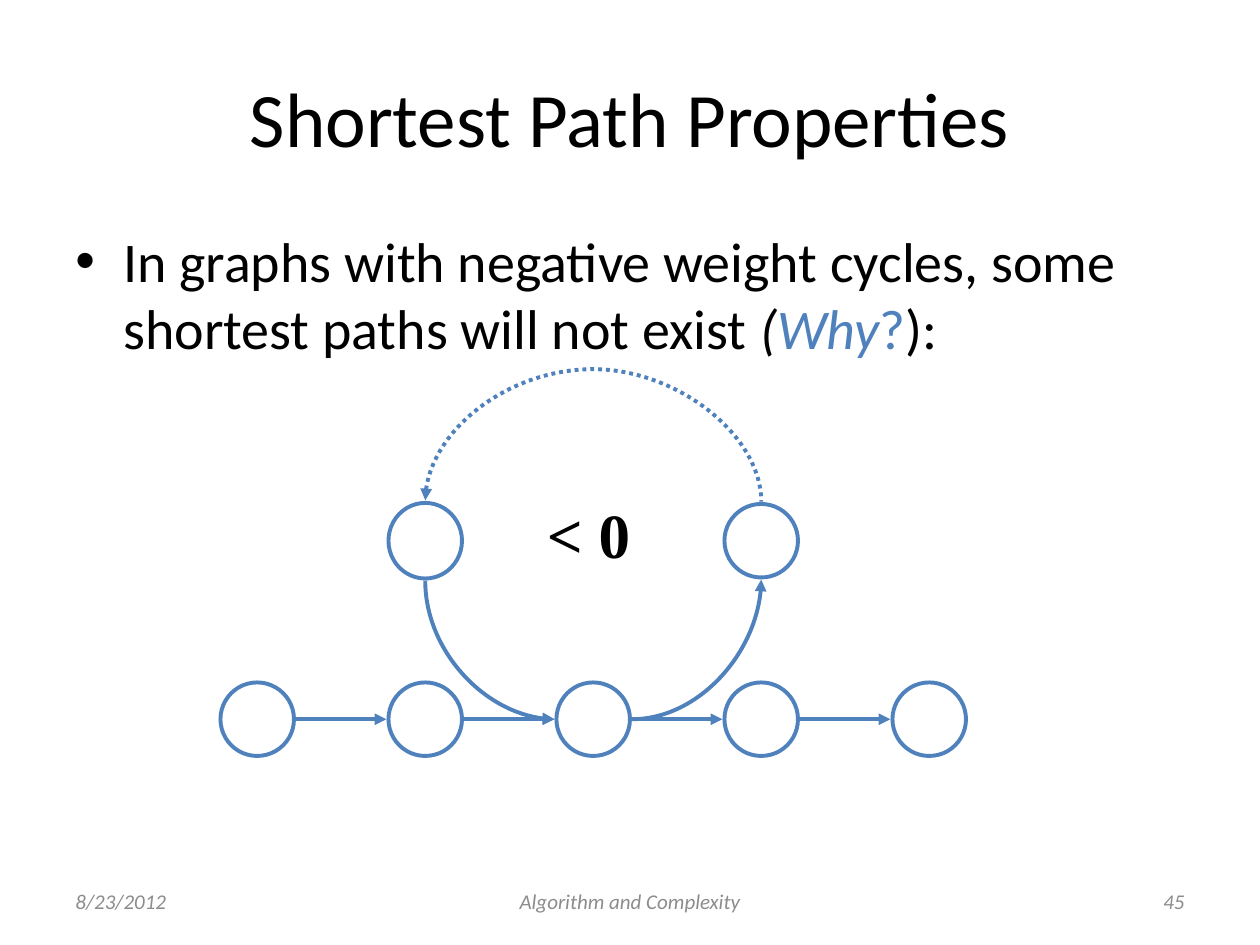
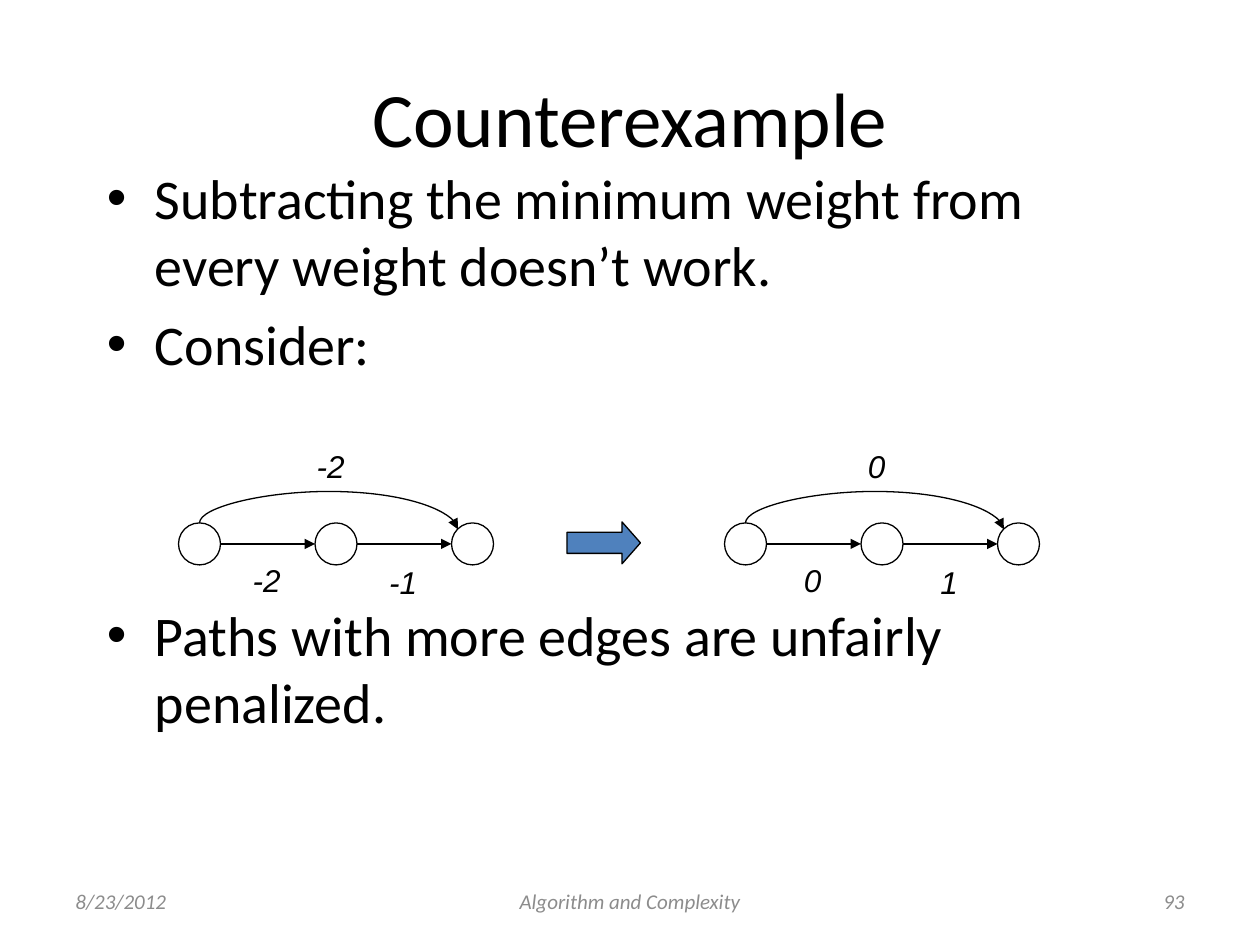
from dataclasses import dataclass
from lxml import etree
from pptx import Presentation
from pptx.dml.color import RGBColor
from pptx.enum.dml import MSO_LINE
from pptx.enum.shapes import MSO_CONNECTOR, MSO_SHAPE
from pptx.enum.text import MSO_ANCHOR, PP_ALIGN
from pptx.oxml.ns import qn
from pptx.util import Inches, Pt

OVAL, RIGHT_ARROW = MSO_SHAPE.OVAL, MSO_SHAPE.RIGHT_ARROW
STRAIGHT, CURVE = MSO_CONNECTOR.STRAIGHT, MSO_CONNECTOR.CURVE
LEFT, CENTER, RIGHT = PP_ALIGN.LEFT, PP_ALIGN.CENTER, PP_ALIGN.RIGHT
TOP, MIDDLE = MSO_ANCHOR.TOP, MSO_ANCHOR.MIDDLE
DOTTED = MSO_LINE.ROUND_DOT
COLUMNS, ROWS = 120, 90
TITLE_ONLY = 5


@dataclass(frozen=True)
class Theme:
    black: RGBColor = RGBColor(0, 0, 0)
    white: RGBColor = RGBColor(255, 255, 255)
    blue: RGBColor = RGBColor(0x4F, 0x81, 0xBD)
    grey: RGBColor = RGBColor(0x8C, 0x8C, 0x8C)
    font: str = "Calibri"
    label_font: str = "Arial"
    math_font: str = "Times New Roman"
    title: int = 44
    math: int = 36
    body: int = 32
    label: int = 18
    footer: int = 12
    thick: float = 2.25
    thin: float = 0.75


class Deck:
    def __init__(self, theme):
        self.theme = theme
        self.prs = Presentation()
        self.prs.slide_width, self.prs.slide_height = Inches(10), Inches(7.5)
        self.s = None

    def x(self, columns):
        return round(self.prs.slide_width * columns / COLUMNS)

    def y(self, rows):
        return round(self.prs.slide_height * rows / ROWS)

    def box(self, left, top, width, height):
        return self.x(left), self.y(top), self.x(width), self.y(height)

    def run(self, p, text, size, color=None, font=None, **style):
        r = p.add_run()
        r.text = text
        r.font.color.rgb = color or self.theme.black
        formats = {"size": Pt(size), "name": font or self.theme.font, **style}
        for key, value in formats.items():
            setattr(r.font, key, value)

    def slide(self, title, number):
        t = self.theme
        self.s = self.prs.slides.add_slide(self.prs.slide_layouts[TITLE_ONLY])
        sp = self.s.shapes.title
        sp.left, sp.top, sp.width, sp.height = self.box(6, 3.6, 108, 15)
        tf = sp.text_frame
        tf.vertical_anchor = MIDDLE
        p = tf.paragraphs[0]
        p.alignment = CENTER
        self.run(p, title, t.title)
        footers = ((6, 28, "8/23/2012", LEFT),
                   (41, 38, "Algorithm and Complexity", CENTER),
                   (86, 28, number, RIGHT))
        for left, width, text, align in footers:
            self.text((left, 83.4, width, 4.8), text, t.footer, align,
                      MIDDLE, color=t.grey, italic=True)

    def frame(self, area, anchor=TOP, wrap=True):
        tf = self.s.shapes.add_textbox(*self.box(*area)).text_frame
        tf.word_wrap, tf.vertical_anchor = wrap, anchor
        return tf

    def text(self, area, text, size, align=CENTER, anchor=TOP, **style):
        p = self.frame(area, anchor).paragraphs[0]
        p.alignment = align
        self.run(p, text, size, **style)

    def bullets(self, area, items):
        tf = self.frame(area)
        for i, (space, runs) in enumerate(items):
            p = tf.add_paragraph() if i else tf.paragraphs[0]
            ppr = p._p.get_or_add_pPr()
            ppr.set("marL", str(Inches(0.38)))
            ppr.set("indent", str(-Inches(0.38)))
            etree.SubElement(ppr, qn("a:buFont")).set("typeface", "Arial")
            etree.SubElement(ppr, qn("a:buChar")).set("char", "•")
            p.space_before = Pt(space)
            for text, style in runs:
                self.run(p, text, self.theme.body, **style)

    def shape(self, kind, area, line, width, fill=None):
        sp = self.s.shapes.add_shape(kind, *self.box(*area))
        sp.shadow.inherit = False
        if fill is None:
            sp.fill.background()
        else:
            sp.fill.solid()
            sp.fill.fore_color.rgb = fill
        sp.line.color.rgb, sp.line.width = line, Pt(width)
        return sp

    def arrow(self, start, end, color, width, kind=STRAIGHT, head="tailEnd", dash=None):
        c = self.s.shapes.add_connector(kind, self.x(start[0]), self.y(start[1]),
                                        self.x(end[0]), self.y(end[1]))
        c.line.color.rgb, c.line.width = color, Pt(width)
        if dash is not None:
            c.line.dash_style = dash
        etree.SubElement(c.line._get_or_add_ln(), qn("a:" + head)).set("type", "triangle")
        etree.SubElement(c._element.spPr, qn("a:effectLst"))
        return c

    def bend(self, start, end, color, width, **style):
        c = self.arrow(start, end, color, width, CURVE, **style)
        c._element.spPr.find(qn("a:prstGeom")).set("prst", "curvedConnector2")
        return c

    def turned(self, start, end, draw, color, width, **style):
        (x1, y1), (x2, y2) = start, end
        cx, cy = (x1 + x2) / 2, (y1 + y2) / 2
        dx, dy = (x2 - x1) / 2, (y2 - y1) / 2
        c = draw((cx - dy, cy + dx), (cx + dy, cy - dx), color, width, **style)
        c._element.spPr.find(qn("a:xfrm")).set("rot", "5400000")
        return c

    def arch(self, start, end, peak, color, width, **style):
        c = self.turned(start, end, self.arrow, color, width, kind=CURVE, **style)
        geometry = c._element.spPr.find(qn("a:prstGeom"))
        guides = geometry.find(qn("a:avLst"))
        ratio = (peak - start[1]) / (end[1] - start[1])
        guide = etree.SubElement(guides, qn("a:gd"))
        guide.set("name", "adj1")
        guide.set("fmla", f"val {round(ratio * 100000)}")


def shortest_path(d):
    t = d.theme
    d.slide("Shortest Path Properties", "45")
    d.bullets((6, 21, 108, 59.4), [(0, [
        ("In graphs with negative weight cycles, some shortest paths will not exist ", {}),
        ("(", {"italic": True}),
        ("Why", {"italic": True, "color": t.blue}),
        ("?", {"color": t.blue}),
        ("):", {})])])
    first, size, step, row, gap = 21, 7, 16, 65, 0.2
    middle = row + size / 2
    pen = t.blue, t.thick
    nodes = [first + i * step for i in range(5)]
    for left in nodes:
        d.shape(OVAL, (left, row, size, size), *pen, t.white)
    for left, following in zip(nodes, nodes[1:]):
        d.arrow((left + size + gap, middle), (following - gap, middle), *pen)
    d.shape(OVAL, (nodes[3], 48, size, size), *pen, t.white)
    d.shape(OVAL, (nodes[1], 47.9, size, 7.2), *pen, t.white)
    west, east = nodes[1] + size / 2, nodes[3] + size / 2
    d.bend((nodes[2] + size + gap, middle), (east, 55.2), *pen)
    d.turned((west, 55.3), (nodes[2] - gap, middle), d.bend, *pen)
    d.arch((west, 47.65), (east, 47.77), 34.95, *pen, head="headEnd", dash=DOTTED)
    d.text((50.9, 46.6, 10.3, 8.4), "< 0", t.math, font=t.math_font, bold=True)


def weighted_graph(d, left, weights):
    t = d.theme
    size, step, row = 4, 13, 49.8
    middle = row + size / 2
    pen = t.black, t.thin
    nodes = [left + i * step for i in range(3)]
    for node in nodes:
        d.shape(OVAL, (node, row, size, size), *pen)
    for node, following in zip(nodes, nodes[1:]):
        d.arrow((node + size, middle), (following, middle), *pen)
    d.arch((left + 2, row), (nodes[2] + 0.6, row + 0.6), 46.8, *pen)
    places = ((8.4, 52.8), (21.4, 53), (14.5, 42))
    for weight, (center, top) in zip(weights, places):
        d.text((left + center - 3, top, 6, 4.8), weight, t.label,
               font=t.label_font, italic=True)


def counterexample(d):
    t = d.theme
    d.slide("Counterexample", "93")
    d.bullets((9, 15, 102, 57.7), [
        (0, [("Subtracting the minimum weight from every weight doesn’t work.", {})]),
        (6.4, [("Consider:", {})]),
        (128, [("Paths with more edges are unfairly penalized.", {})])])
    weighted_graph(d, 17, ("-2", "-1", "-2"))
    weighted_graph(d, 69, ("0", "1", "0"))
    sp = d.shape(RIGHT_ARROW, (54, 49.7, 7, 4), t.black, t.thin, t.blue)
    sp.adjustments[1] = 0.44


def main():
    d = Deck(Theme())
    shortest_path(d)
    counterexample(d)
    d.prs.save("out.pptx")


if __name__ == "__main__":
    main()
